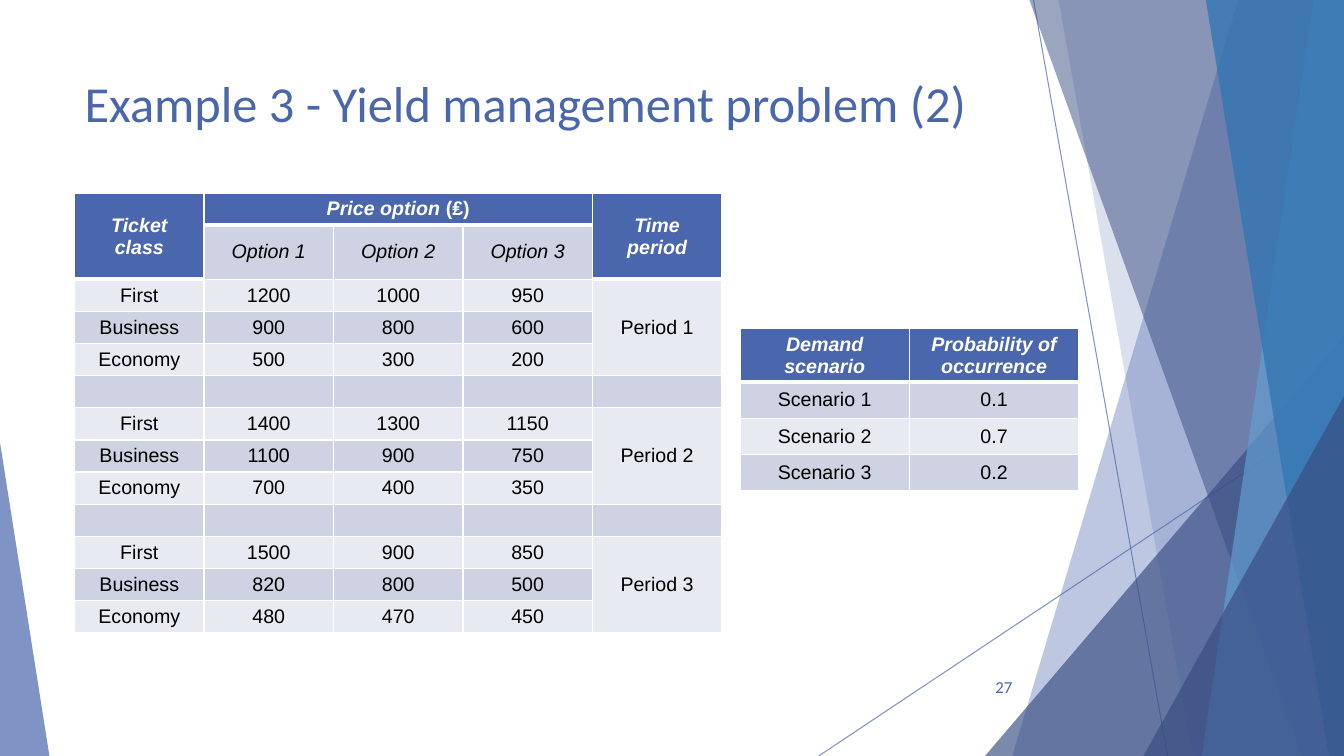
from dataclasses import dataclass
from lxml.etree import SubElement
from pptx import Presentation
from pptx.dml.color import RGBColor as Rgb
from pptx.enum.shapes import MSO_CONNECTOR as Link, MSO_SHAPE as Preset
from pptx.enum.text import MSO_ANCHOR as Anchor, PP_ALIGN as Align
from pptx.oxml.ns import qn
from pptx.util import Inches, Pt


@dataclass(frozen=True)
class Theme:
    """Colours, fonts and type sizes of the slide."""
    accent: str = "4A66AC"
    navy: str = "374C81"
    sky: str = "629DD1"
    blue: str = "3477B2"
    dark: str = "CED2E2"
    light: str = "E8EAF1"
    white: str = "FFFFFF"
    black: str = "000000"
    body: str = "Arial"
    head: str = "Calibri"
    title: int = 36
    cell: int = 14
    page: int = 12


@dataclass(frozen=True)
class Band:
    """A see-through shape with straight sides."""
    points: tuple
    color: str
    alpha: int


@dataclass(frozen=True)
class Wedge:
    """A see-through right triangle standing on the slide's foot."""
    left: float
    top: float
    width: float
    apex: float
    color: str
    alpha: int


@dataclass(frozen=True)
class Grid:
    """A table; spans hold first row, first column, last row, last column."""
    left: float
    top: float
    widths: list
    heights: list
    rows: list
    spans: tuple = ()


T = Theme()
WIDE, HIGH = 13.33, 7.5
LINES = [(10.25, 0, 11.58, HIGH), (WIDE, 4.03, 8.12, HIGH)]


def slant(top: float, foot: float, color: str, alpha: int) -> Band:
    """Return a band from a slanted left side to the slide's right edge."""
    return Band(((top, 0), (WIDE, 0), (WIDE, HIGH), (foot, HIGH)), color, alpha)


DECOR = [
    slant(12.28, 10.04, T.accent, 36),
    slant(10.5, 11.83, T.accent, 20),
    Wedge(9.77, 3.33, 3.56, 1, T.navy, 66),
    slant(10.21, 12.91, T.navy, 50),
    slant(13.03, 11.92, T.sky, 70),
    slant(11.96, 13.18, T.blue, 80),
    Wedge(11.34, 3.93, 1.99, 1, T.navy, 66),
    Wedge(0, 4.39, 0.49, 0, T.accent, 70),
]

CLASSES = ["First", "Business", "Economy"]
PRICES = [
    [(1200, 1000, 950), (900, 800, 600), (500, 300, 200)],
    [(1400, 1300, 1150), (1100, 900, 750), (700, 400, 350)],
    [(1500, 900, 850), (820, 800, 500), (480, 470, 450)],
]


def price_rows() -> list:
    """Return the price table's rows, with a blank row between periods."""
    rows = [["Ticket class", "Price option (₤)", "", "", "Time period"],
            ["", "Option 1", "Option 2", "Option 3", ""]]
    for num, block in enumerate(PRICES, 1):
        if num > 1:
            rows.append([""] * 5)
        for name, costs in zip(CLASSES, block):
            label = f"Period {num}" if name == CLASSES[0] else ""
            rows.append([name, *map(str, costs), label])
    return rows


ODDS = Grid(7.34, 3.26, [1.68] * 2, [0.53] + [0.36] * 3,
            [["Demand scenario", "Probability of occurrence"],
             ["Scenario 1", "0.1"], ["Scenario 2", "0.7"], ["Scenario 3", "0.2"]])
FARES = Grid(0.74, 1.92, [1.284] * 5, [0.31, 0.54] + [3.51 / 11] * 11, price_rows(),
             ((0, 0, 1, 0), (0, 1, 0, 3), (0, 4, 1, 4),
              *((row, 4, row + 2, 4) for row in (2, 6, 10))))


def fade(fill, alpha: int) -> None:
    """Set the opacity, in percent, of a solid fill element."""
    SubElement(fill[0], qn("a:alpha"), val=str(alpha * 1000))


def write(frame, text: str, *, size: int, font: str, color: str, bold: bool = False,
          italic: bool = False, align: Align = Align.LEFT) -> None:
    """Add formatted text to the first paragraph of a frame."""
    para = frame.paragraphs[0]
    para.alignment = align
    run = para.add_run()
    run.text = text
    face = run.font
    face.size, face.name, face.bold, face.italic = Pt(size), font, bold, italic
    face.color.rgb = Rgb.from_string(color)


def add_box(slide, left: float, top: float, width: float, height: float,
            anchor: Anchor = Anchor.TOP):
    """Add a wrapping text box and return its frame."""
    box = slide.shapes.add_textbox(Inches(left), Inches(top), Inches(width), Inches(height))
    frame = box.text_frame
    frame.word_wrap, frame.vertical_anchor = True, anchor
    return frame


def add_line(slide, x1: float, y1: float, x2: float, y2: float) -> None:
    """Add a thin see-through line."""
    line = slide.shapes.add_connector(Link.STRAIGHT, *map(Inches, (x1, y1, x2, y2)))
    line.line.width = Pt(0.75)
    line.line.color.rgb = Rgb.from_string(T.accent)
    props = line._element.spPr
    fade(props.find(qn("a:ln")).find(qn("a:solidFill")), 70)
    SubElement(props, qn("a:effectLst"))


def add_decor(slide, item) -> None:
    """Add one band or wedge."""
    if isinstance(item, Band):
        first, *rest = [(Inches(x), Inches(y)) for x, y in item.points]
        pen = slide.shapes.build_freeform(*first)
        pen.add_line_segments(rest, close=True)
        shape = pen.convert_to_shape()
    else:
        shape = slide.shapes.add_shape(
            Preset.ISOSCELES_TRIANGLE, Inches(item.left), Inches(item.top),
            Inches(item.width), Inches(HIGH - item.top))
        shape.adjustments[0] = item.apex
    shape.shadow.inherit = False
    shape.line.fill.background()
    shape.fill.solid()
    shape.fill.fore_color.rgb = Rgb.from_string(item.color)
    fade(shape._element.spPr.find(qn("a:solidFill")), item.alpha)


def add_edges(cell, top: bool, foot: int) -> None:
    """Draw white cell borders; foot is the bottom width in points."""
    props = cell._tc.get_or_add_tcPr()
    for spot, side in enumerate("LRTB" if top else "LRB"):
        width = foot if side == "B" else 1
        edge = SubElement(props, qn(f"a:ln{side}"), w=str(Pt(width)))
        fill = SubElement(edge, qn("a:solidFill"))
        SubElement(fill, qn("a:srgbClr"), val=T.white)
        props.insert(spot, edge)


def fill_cell(cell, text: str, row: int) -> None:
    """Format one cell and write its text."""
    head = row == 0 or (row == 1 and cell.is_spanned)
    cell.vertical_anchor = Anchor.MIDDLE
    cell.margin_left = cell.margin_right = Inches(0.1)
    cell.margin_top = cell.margin_bottom = Inches(0.02)
    cell.fill.solid()
    shade = T.accent if head else T.dark if row % 2 else T.light
    cell.fill.fore_color.rgb = Rgb.from_string(shade)
    add_edges(cell, row == 0, 3 if head else 1)
    main, mark, tail = text.partition("(")
    slant_on = head or text.startswith("Option")
    for part, italic in ((main, slant_on), (mark + tail, False)):
        if part:
            write(cell.text_frame, part, size=T.cell, font=T.body, bold=head, italic=italic,
                  color=T.white if head else T.black, align=Align.CENTER)
    if not text:
        para = cell.text_frame.paragraphs[0]
        SubElement(para._p, qn("a:endParaRPr"), sz=str(T.cell * 100))


def add_grid(slide, grid: Grid) -> None:
    """Add a table with its spans, sizes and cells."""
    table = slide.shapes.add_table(
        len(grid.rows), len(grid.widths), Inches(grid.left), Inches(grid.top),
        Inches(sum(grid.widths)), Inches(sum(grid.heights))).table
    for col, width in zip(table.columns, grid.widths):
        col.width = Inches(width)
    for line, height in zip(table.rows, grid.heights):
        line.height = Inches(height)
    for r1, c1, r2, c2 in grid.spans:
        table.cell(r1, c1).merge(table.cell(r2, c2))
    for r, texts in enumerate(grid.rows):
        for c, text in enumerate(texts):
            fill_cell(table.cell(r, c), text, r)


def main() -> None:
    """Build and save the slide."""
    deck = Presentation()
    deck.slide_width, deck.slide_height = Inches(WIDE), Inches(HIGH)
    slide = deck.slides.add_slide(deck.slide_layouts[6])
    for ends in LINES:
        add_line(slide, *ends)
    for item in DECOR:
        add_decor(slide, item)
    write(add_box(slide, 0.74, 0.67, 9.4, 1.44), "Example 3 - Yield management problem (2)",
          size=T.title, font=T.head, color=T.accent)
    write(add_box(slide, 9.39, 6.61, 0.75, 0.4, Anchor.MIDDLE), "27",
          size=T.page, font=T.head, color=T.accent, align=Align.RIGHT)
    for grid in (ODDS, FARES):
        add_grid(slide, grid)
    deck.save("out.pptx")


main()
